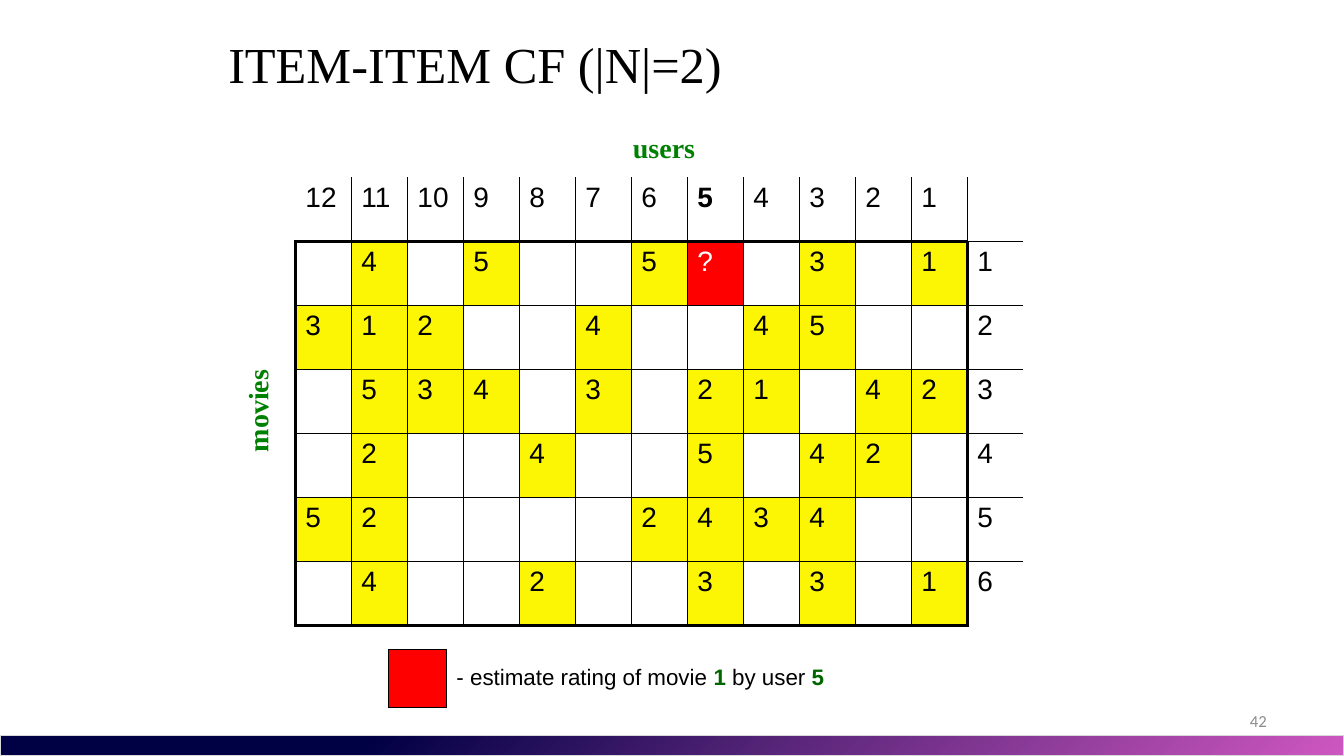
from pptx import Presentation
from pptx.dml.color import RGBColor
from pptx.enum.shapes import MSO_SHAPE as Shape
from pptx.enum.text import MSO_ANCHOR as Anchor, PP_ALIGN as Align
from pptx.oxml.ns import qn
from pptx.util import Pt
from lxml.etree import SubElement as Sub

BLACK = RGBColor(0, 0, 0)
WHITE = RGBColor(255, 255, 255)
RED = RGBColor(255, 0, 0)
YELLOW = RGBColor(0xFC, 0xF6, 0x04)
GREEN = RGBColor(0, 0x80, 0)
DARK = RGBColor(0, 0x66, 0)
GRAY = RGBColor(0x8C, 0x8C, 0x8C)
SILVER = RGBColor(0xD8, 0xD8, 0xD8)
NAVY = RGBColor(0, 0, 0x44)
PINK = RGBColor(0xCE, 0x57, 0xC1)

SERIF = "Times New Roman"
SANS = "Arial"
THIN, THICK = 1, 2.25
USERS, MOVIES = 12, 6
TARGET = "5"
RATINGS = [
    ".4.5..5?.3.1",
    "312..4..45..",
    ".534.3.21.42",
    ".2..4..5.42.",
    "52....2434..",
    ".4..2..3.3.1",
]


def style(font, name, size, color, bold=False):
    font.name = name
    font.size = Pt(size)
    font.color.rgb = color
    font.bold = bold


def add_text(slide, box, runs, name, size, wrap=True, anchor=Anchor.TOP, align=Align.LEFT):
    shape = slide.shapes.add_textbox(*map(Pt, box))
    frame = shape.text_frame
    frame.word_wrap = wrap
    frame.vertical_anchor = anchor
    para = frame.paragraphs[0]
    para.alignment = align
    for text, color, bold in runs:
        run = para.add_run()
        run.text = text
        style(run.font, name, size, color, bold)
    return shape


def add_rect(slide, box, line):
    rect = slide.shapes.add_shape(Shape.RECTANGLE, *map(Pt, box))
    rect.shadow.inherit = False
    rect.line.color.rgb = line
    rect.line.width = Pt(0.75)
    return rect


def add_bar(slide):
    bar = add_rect(slide, (0, 525.6, 960, 14.4), SILVER)
    bar.fill.gradient()
    bar.fill.gradient_angle = 315
    for stop, place, color in zip(bar.fill.gradient_stops, (0.27, 1), (NAVY, PINK)):
        stop.position = place
        stop.color.rgb = color


def side_width(edge, row):
    if row == 0:
        return THIN if 0 < edge <= USERS else 0
    if edge in (0, USERS):
        return THICK
    return THIN if edge < USERS else 0


def level_width(edge, col):
    if edge == 0:
        return 0
    if col == USERS:
        return THIN if edge <= MOVIES else 0
    return THICK if edge in (1, MOVIES + 1) else THIN


def set_borders(cell, row, col):
    props = cell._tc.get_or_add_tcPr()
    widths = {
        "a:lnL": side_width(col, row),
        "a:lnR": side_width(col + 1, row),
        "a:lnT": level_width(row, col),
        "a:lnB": level_width(row + 1, col),
    }
    for tag, width in widths.items():
        line = Sub(props, qn(tag), w=str(int(Pt(width))))
        if width:
            fill = Sub(line, qn("a:solidFill"))
            Sub(fill, qn("a:srgbClr"), val=str(BLACK))
        else:
            Sub(line, qn("a:noFill"))


def fill_cell(cell, text, rated, bold):
    if rated:
        cell.fill.solid()
        cell.fill.fore_color.rgb = RED if text == "?" else YELLOW
    else:
        cell.fill.background()
    para = cell.text_frame.paragraphs[0]
    para.text = text
    style(para.font, SANS, 20, BLACK)
    for run in para.runs:
        style(run.font, SANS, 20, WHITE if text == "?" else BLACK, bold)


def add_grid(slide):
    heads = [str(user) for user in range(USERS, 0, -1)] + [""]
    rows = [heads]
    for movie, marks in enumerate(RATINGS, 1):
        rows.append([mark.strip(".") for mark in marks] + [str(movie)])
    box = (211, 126.7, 40 * (USERS + 1), 45.7 * (MOVIES + 1))
    table = slide.shapes.add_table(MOVIES + 1, USERS + 1, *map(Pt, box)).table
    table.first_row = False
    table.horz_banding = False
    for col in table.columns:
        col.width = Pt(40)
    for row, texts in enumerate(rows):
        table.rows[row].height = Pt(45.7)
        for col, text in enumerate(texts):
            cell = table.cell(row, col)
            set_borders(cell, row, col)
            rated = row > 0 and col < USERS and text != ""
            fill_cell(cell, text, rated, row == 0 and text == TARGET)


def add_legend(slide):
    swatch = add_rect(slide, (277.2, 463.7, 42, 42), BLACK)
    swatch.fill.solid()
    swatch.fill.fore_color.rgb = RED
    runs = [
        ("- estimate rating of movie ", BLACK, False),
        ("1", DARK, True),
        (" by user ", BLACK, False),
        (TARGET, DARK, True),
    ]
    add_text(slide, (319, 470.2, 318, 26.6), runs, SANS, 16)


def main():
    deck = Presentation()
    deck.slide_width, deck.slide_height = Pt(960), Pt(540)
    slide = deck.slides.add_slide(deck.slide_layouts[6])
    add_bar(slide)
    title = [("ITEM-ITEM CF (|N|=2)", BLACK, False)]
    add_text(slide, (156, 0, 648, 90), title, SERIF, 36, anchor=Anchor.MIDDLE)
    add_text(slide, (688, 500.5, 224, 28.8), [("42", GRAY, False)], "Calibri", 12,
             anchor=Anchor.MIDDLE, align=Align.RIGHT)
    add_grid(slide)
    add_text(slide, (445, 90, 59.8, 31.7), [("users", GREEN, True)], SERIF, 20, wrap=False)
    add_legend(slide)
    movies = add_text(slide, (147, 277.2, 74.2, 31.7), [("movies", GREEN, True)], SERIF, 20, wrap=False)
    movies.rotation = 270
    deck.save("out.pptx")


if __name__ == "__main__":
    main()
